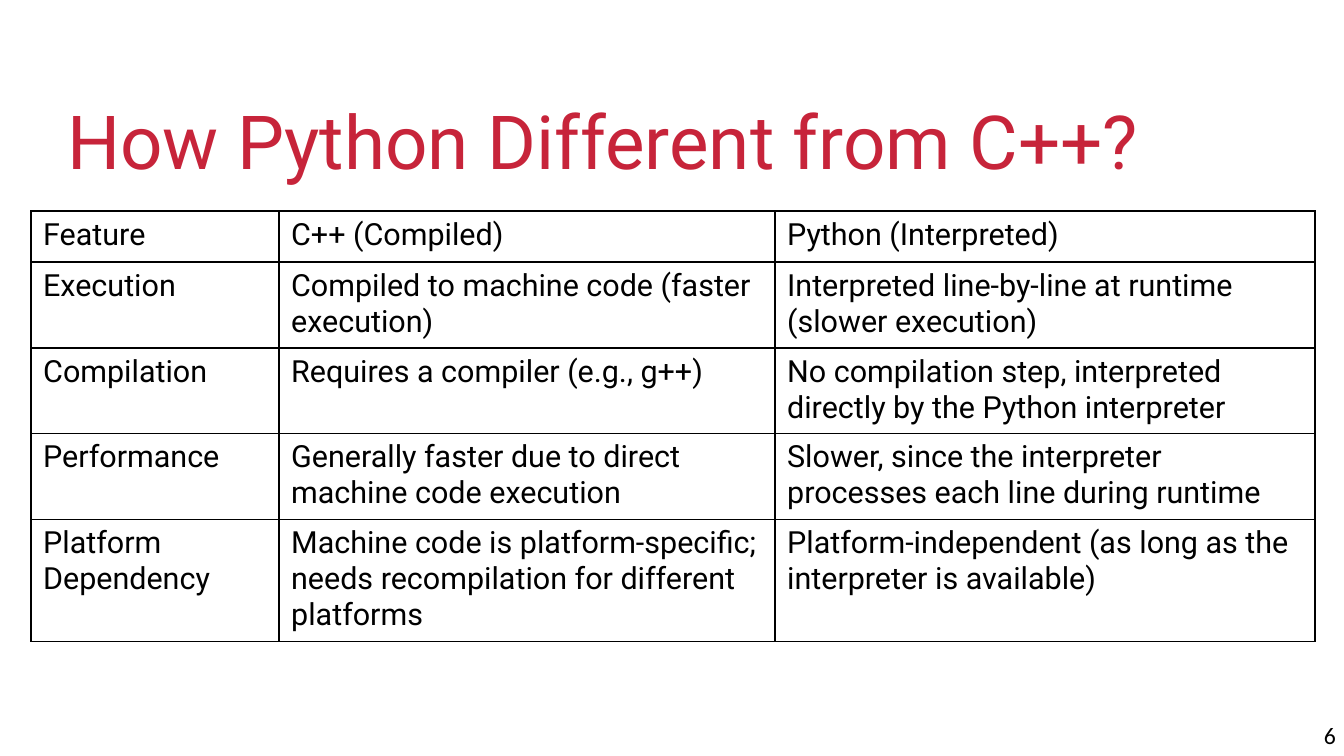
"""Build a slide with a table comparing C++ and Python."""
from lxml.etree import SubElement
from pptx import Presentation
from pptx.dml.color import RGBColor
from pptx.enum.text import MSO_ANCHOR, PP_ALIGN
from pptx.oxml.ns import qn
from pptx.util import Pt

PX = 7495
BLACK = "000000"
RED = "C7243A"


def style(paragraph, font_name, size, color, align=PP_ALIGN.LEFT):
    paragraph.alignment = align
    paragraph.font.name = font_name
    paragraph.font.size = Pt(size)
    paragraph.font.color.rgb = RGBColor.from_string(color)


def add_borders(cell, color):
    properties = cell._tc.get_or_add_tcPr()
    for side in ("a:lnL", "a:lnR", "a:lnT", "a:lnB"):
        border = SubElement(properties, qn(side), w=str(Pt(1)))
        fill = SubElement(border, qn("a:solidFill"))
        SubElement(fill, qn("a:srgbClr"), val=color)


prs = Presentation()
prs.slide_width, prs.slide_height = 1344 * PX, 756 * PX
slide = prs.slides.add_slide(prs.slide_layouts[5])

heading = slide.shapes.title
heading.left, heading.top = 67 * PX, 76 * PX
heading.width, heading.height = 1210 * PX, 127 * PX
page_number = slide.shapes.add_textbox(1022 * PX, 721 * PX, 314 * PX, 52 * PX)

for box, text, anchor in (
    (heading, "How Python Different from C++?", MSO_ANCHOR.MIDDLE),
    (page_number, "6", MSO_ANCHOR.TOP),
):
    frame = box.text_frame
    frame.text = text
    frame.word_wrap = True
    frame.vertical_anchor = anchor
    frame.margin_left = frame.margin_right = 0
    frame.margin_top = frame.margin_bottom = 0
style(heading.text_frame.paragraphs[0], "Roboto", 44, RED)
style(page_number.text_frame.paragraphs[0], "Calibri", 14, BLACK, PP_ALIGN.RIGHT)

comparison = [
    ("Feature", "C++ (Compiled)", "Python (Interpreted)"),
    ("Execution", "Compiled to machine code (faster execution)",
     "Interpreted line-by-line at runtime (slower execution)"),
    ("Compilation", "Requires a compiler (e.g., g++)",
     "No compilation step, interpreted directly by the Python interpreter"),
    ("Performance", "Generally faster due to direct machine code execution",
     "Slower, since the interpreter processes each line during runtime"),
    ("Platform Dependency",
     "Machine code is platform-specific; needs recompilation for different platforms",
     "Platform-independent (as long as the interpreter is available)"),
]
column_widths = [248, 496, 540]
row_heights = [51, 86, 85, 86, 122]

table = slide.shapes.add_table(
    len(row_heights), len(column_widths), 31 * PX, 211 * PX,
    sum(column_widths) * PX, sum(row_heights) * PX,
).table
table.first_row = False
table.horz_banding = False
for column, width in zip(table.columns, column_widths):
    column.width = width * PX
for row, height, features in zip(table.rows, row_heights, comparison):
    row.height = height * PX
    for cell, text in zip(row.cells, features):
        cell.text = text
        style(cell.text_frame.paragraphs[0], "Roboto", 18, BLACK)
        add_borders(cell, BLACK)
        cell.fill.background()

prs.save("out.pptx")
